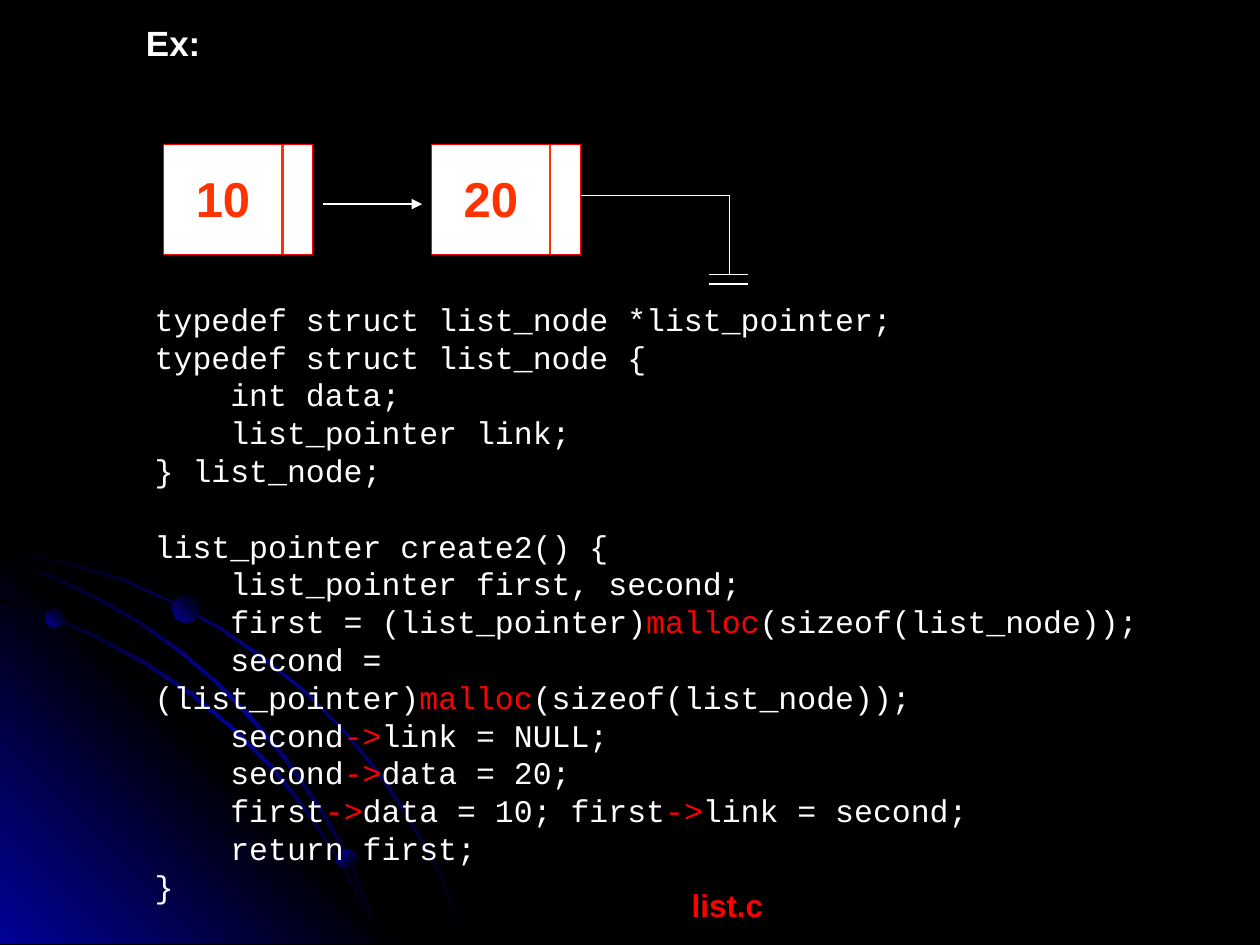
from typing import NamedTuple

from lxml import etree
from pptx import Presentation, util as u
from pptx.dml.color import RGBColor
from pptx.enum import shapes, text
from pptx.oxml import ns

COLORS = {"black": "000000", "navy": "010199", "white": "FFFFFF",
          "red": "FF0000", "orange": "FF3300"}
COLUMNS, ROWS = 100, 75
POINTS_PER_CELL = 10

deck = Presentation()
deck.slide_width, deck.slide_height = u.Inches(10), u.Inches(7.5)
CELL = deck.slide_width // COLUMNS
slide = deck.slides.add_slide(deck.slide_layouts[6])


class Area(NamedTuple):
    column: float
    row: float
    columns: float
    rows: float


class Swoosh(NamedTuple):
    outline: list[tuple[int, int]]
    stops: tuple[str, ...]
    angle: int


class Orb(NamedTuple):
    area: Area
    angle: int


class Stroke(NamedTuple):
    start: tuple[float, float]
    end: tuple[float, float]
    color: str = "white"
    points: float = 0.75
    arrow: bool = False


def cells(*counts: float) -> list[int]:
    return [round(count * CELL) for count in counts]


def rgb(color: str) -> RGBColor:
    return RGBColor.from_string(COLORS[color])


def paint_gradient(shape, stops: tuple[str, ...], angle: int) -> None:
    shape.shadow.inherit = False
    shape.line.fill.background()
    shape.fill.gradient()
    shape.fill.gradient_angle = 360 - angle
    stop_list = shape._element.spPr.find(ns.qn("a:gradFill")).find(ns.qn("a:gsLst"))
    for stop in list(stop_list):
        stop_list.remove(stop)
    for index, color in enumerate(stops):
        position = 100000 * index // (len(stops) - 1)
        stop = etree.SubElement(stop_list, ns.qn("a:gs"), pos=str(position))
        etree.SubElement(stop, ns.qn("a:srgbClr"), val=COLORS[color])


def draw_swoosh(swoosh: Swoosh) -> None:
    first, *rest = swoosh.outline
    builder = slide.shapes.build_freeform(*first, scale=CELL / POINTS_PER_CELL)
    builder.add_line_segments(rest, close=True)
    paint_gradient(builder.convert_to_shape(), swoosh.stops, swoosh.angle)


def draw_orb(orb: Orb) -> None:
    circle = slide.shapes.add_shape(shapes.MSO_SHAPE.OVAL, *cells(*orb.area))
    paint_gradient(circle, ("navy", "black"), orb.angle)


def draw_node(area: Area) -> None:
    node = slide.shapes.add_shape(shapes.MSO_SHAPE.RECTANGLE, *cells(*area))
    node.shadow.inherit = False
    node.fill.solid()
    node.fill.fore_color.rgb = rgb("white")
    node.line.color.rgb = rgb("red")
    node.line.width = u.Pt(0.75)


def draw_stroke(stroke: Stroke) -> None:
    line = slide.shapes.add_connector(shapes.MSO_CONNECTOR.STRAIGHT,
                                      *cells(*stroke.start, *stroke.end))
    line.line.color.rgb = rgb(stroke.color)
    line.line.width = u.Pt(stroke.points)
    if stroke.arrow:
        etree.SubElement(line.line._get_or_add_ln(), ns.qn("a:tailEnd"), type="triangle")
    etree.SubElement(line._element.spPr, ns.qn("a:effectLst"))


def write(area: Area, content: str, *, size: float, color: str = "white",
          font: str = "Arial", bold: bool = False, wrap: bool = False,
          align=text.PP_ALIGN.LEFT, accent: str = "red", pitch: float | None = None) -> None:
    frame = slide.shapes.add_textbox(*cells(*area)).text_frame
    frame.word_wrap = wrap
    frame.auto_size = text.MSO_AUTO_SIZE.SHAPE_TO_FIT_TEXT
    paragraph, gap = frame.paragraphs[0], False
    for index, line in enumerate(content.splitlines()):
        if not line:
            gap = True
            continue
        if index:
            paragraph = frame.add_paragraph()
        paragraph.alignment = align
        if pitch:
            paragraph.line_spacing = u.Pt(pitch)
            if gap:
                paragraph.space_before = u.Pt(pitch)
        gap = False
        for part, words in enumerate(line.split("|")):
            run = paragraph.add_run()
            run.text = words
            run.font.size, run.font.name, run.font.bold = u.Pt(size), font, bold
            run.font.color.rgb = rgb(accent if part % 2 else color)


GLOW = ("black", "navy", "black")
SWOOSHES = [
    Swoosh([(57, 447), (28, 441), (0, 435), (0, 438), (28, 443), (56, 449), (97, 461),
            (135, 478), (173, 499), (208, 523), (241, 549), (271, 579), (298, 612),
            (323, 649), (337, 673), (350, 698), (360, 723), (370, 749), (372, 749),
            (362, 723), (352, 698), (339, 673), (325, 648), (300, 611), (272, 578),
            (242, 548), (209, 521), (174, 497), (136, 477), (98, 459)], GLOW, 45),
    Swoosh([(322, 749), (0, 749), (0, 427)], ("navy", "black", "navy"), 315),
    Swoosh([(285, 714), (294, 732), (301, 749), (303, 749), (296, 730), (286, 712),
            (266, 676), (242, 640), (215, 606), (184, 576), (152, 549), (117, 526),
            (79, 505), (41, 488), (0, 475), (0, 477), (39, 490), (77, 507), (115, 528),
            (150, 551), (183, 578), (213, 608), (240, 641), (265, 677)], GLOW, 45),
    Swoosh([(0, 442), (0, 444), (36, 457), (74, 475), (109, 494), (142, 518), (173, 544),
            (202, 575), (227, 605), (252, 641), (267, 667), (280, 694), (292, 722),
            (301, 749), (303, 749), (294, 720), (282, 693), (269, 665), (254, 639),
            (229, 603), (204, 573), (175, 543), (144, 516), (111, 493), (76, 473),
            (39, 455)], GLOW, 45),
]
ORBS = [Orb(Area(3.6, 48.3, 1.5, 1.5), 315),
        Orb(Area(26.7, 67.4, 1.6, 1.6), 45),
        Orb(Area(13.7, 47.3, 2.1, 2.1), 315)]

CODE = """typedef struct list_node *list_pointer;
typedef struct list_node {
    int data;
    list_pointer link;
} list_node;

list_pointer create2() {
    list_pointer first, second;
    first = (list_pointer)|malloc|(sizeof(list_node));
    second = (list_pointer)|malloc|(sizeof(list_node));
    second|->|link = NULL;
    second|->|data = 20;
    first|->|data = 10; first|->|link = second;
    return first;
}"""

NODE = Area(13, 11.5, 11.8, 8.7)
NODE_STEP = 21.25
DIVIDER = 9.4
NODE_VALUES = ["10", "20"]
GROUND_X, WIRE_Y, GROUND_Y = 57.9, 15.5, 21.8
LINKS = [
    Stroke((25.6, 16.2), (33.5, 16.2), arrow=True),
    Stroke((46.1, WIRE_Y), (GROUND_X, WIRE_Y)),
    Stroke((GROUND_X, WIRE_Y), (GROUND_X, GROUND_Y)),
    *[Stroke((56.3, y), (59.4, y)) for y in (GROUND_Y, GROUND_Y + 0.75)],
]

slide.background.fill.solid()
slide.background.fill.fore_color.rgb = rgb("black")
for swoosh in SWOOSHES:
    draw_swoosh(swoosh)
for orb in ORBS:
    draw_orb(orb)

write(Area(11.3, 23.3, 80.4, 46.4), CODE, size=18, font="Courier New", wrap=True, pitch=21.6)
write(Area(10.6, 1.2, 6.3, 4.3), "Ex:", size=20, bold=True, align=text.PP_ALIGN.CENTER)

for index, value in enumerate(NODE_VALUES):
    node = NODE._replace(column=NODE.column + index * NODE_STEP)
    divider = node.column + DIVIDER
    draw_node(node)
    draw_stroke(Stroke((divider, node.row), (divider, node.row + node.rows), "orange", 1.5))
    write(Area(node.column + 1.5, 12.9, 6.4, 5.7), value, size=28, color="orange",
          bold=True, align=text.PP_ALIGN.CENTER)
for link in LINKS:
    draw_stroke(link)

write(Area(53.9, 69.8, 7.8, 4), "list.c", size=18, color="red", bold=True)

deck.save("out.pptx")
